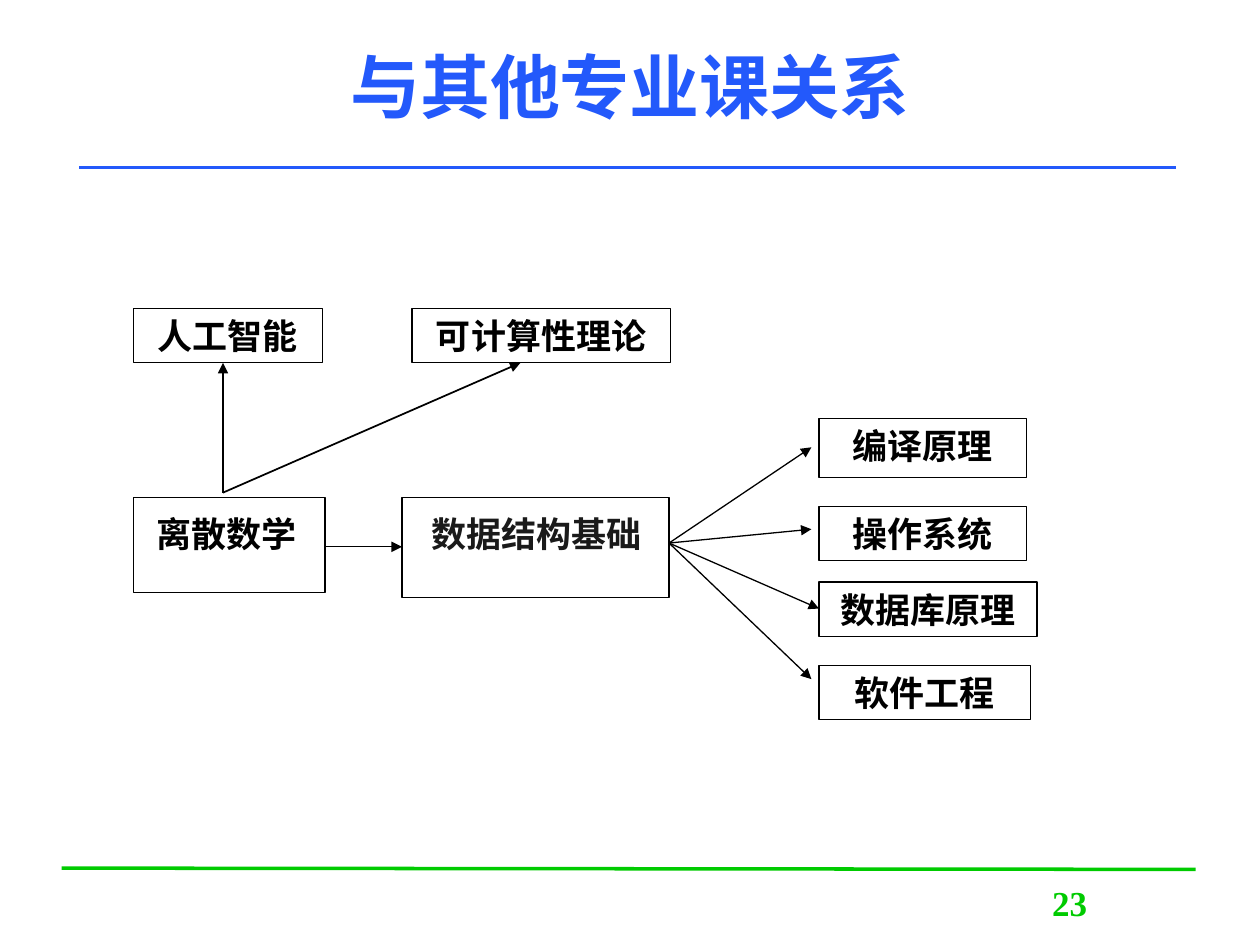
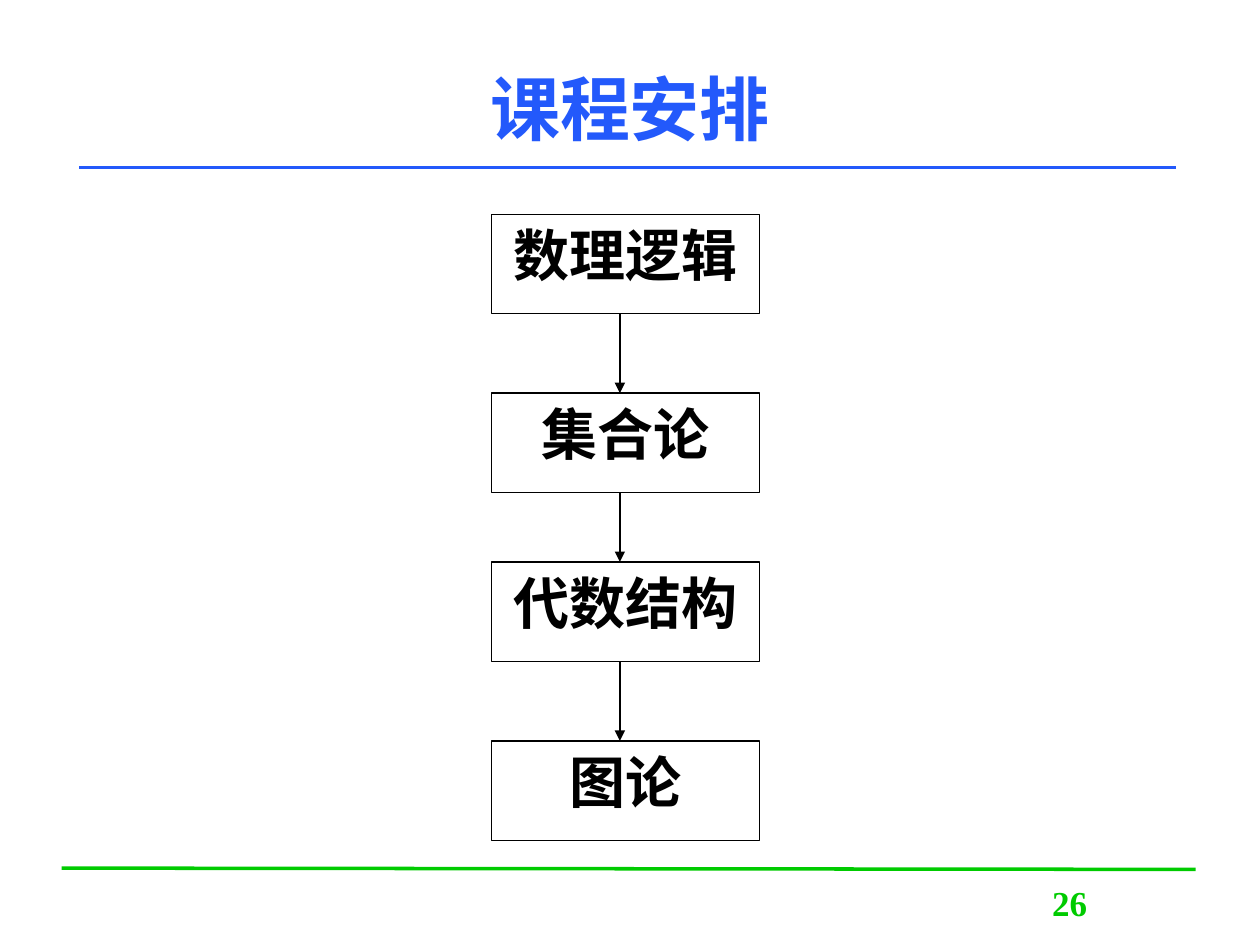
from dataclasses import dataclass
from lxml.etree import SubElement as Sub
from pptx import Presentation
from pptx.dml.color import RGBColor as RGB
from pptx.enum.shapes import MSO_CONNECTOR as Conn, MSO_SHAPE as Kind
from pptx.enum.text import MSO_ANCHOR as Anchor, PP_ALIGN as Align
from pptx.oxml.ns import qn
from pptx.util import Inches, Pt


@dataclass(frozen=True)
class Theme:
    blue: RGB = RGB(0x23, 0x59, 0xFB)
    green: RGB = RGB(0x00, 0xCB, 0x00)
    black: RGB = RGB(0, 0, 0)
    white: RGB = RGB(255, 255, 255)
    sans: str = "Arial"
    serif: str = "Times New Roman"
    head: str = "DejaVu Sans"
    big: int = 40
    mid: int = 32
    small: int = 20
    rule: float = 2
    bold: float = 1
    thin: float = 0.75
    veil: int = 10  # opacity of a see-through box, percent


T = Theme()


# Basic parts
def write(shape, text, size=T.small, font=T.serif, color=T.black,
          align=Align.CENTER, anchor=Anchor.TOP):
    frame = shape.text_frame
    frame.word_wrap = True
    frame.vertical_anchor = anchor
    para = frame.paragraphs[0]
    para.text = text
    para.alignment = align
    face = para.font
    face.size, face.name, face.bold = Pt(size), font, True
    face.color.rgb = color


def label(slide, box, text, **style):
    write(slide.shapes.add_textbox(*map(Inches, box)), text, **style)


def node(slide, box, text="", veil=False, hollow=False, **style):
    shape = slide.shapes.add_shape(Kind.RECTANGLE, *map(Inches, box))
    shape.shadow.inherit = False
    shape.line.color.rgb = T.black
    shape.line.width = Pt(T.thin)
    if hollow:
        shape.fill.background()
    else:
        shape.fill.solid()
        shape.fill.fore_color.rgb = T.white
    if veil:
        tint = shape.fill._xPr.find(".//" + qn("a:srgbClr"))
        Sub(tint, qn("a:alpha"), val=str(T.veil * 1000))
    if text:
        write(shape, text, **style)


def line(slide, start, end, color=T.black, width=T.thin, arrow=True):
    link = slide.shapes.add_connector(
        Conn.STRAIGHT, *map(Inches, (*start, *end)))
    link.line.color.rgb = color
    link.line.width = Pt(width)
    if arrow:
        Sub(link.line._get_or_add_ln(), qn("a:tailEnd"), type="triangle")
    Sub(link._element.spPr, qn("a:effectLst"))


# Rules, page number and title of every slide
def base(deck, title, number, top, height):
    slide = deck.slides.add_slide(deck.slide_layouts[6])
    line(slide, (0.49, 6.89), (9.49, 6.9), T.green, T.rule, False)
    line(slide, (0.63, 1.33), (9.33, 1.33), T.blue, T.rule, False)
    label(slide, (7.7, 6.95, 1.58, 0.5), str(number), color=T.green)
    label(slide, (0.75, top, 8.5, height), title, size=T.big, font=T.head,
          color=T.blue, anchor=Anchor.MIDDLE)
    return slide


# The two basic courses, side by side
def core(slide, x, y):
    label(slide, (x + 2.13, y + 0.07, 2.14, 0.43), "数据结构基础")
    label(slide, (x + 0.08, y + 0.07, 1.54, 0.61), "离散数学",
          align=Align.JUSTIFY)
    node(slide, (x + 2.13, y, 2.12, 0.79), veil=True)
    node(slide, (x, y, 1.52, 0.75), hollow=True)
    line(slide, (x + 1.52, y + 0.39), (x + 2.13, y + 0.39))


# Courses above, reached from one point below
def upper(slide, x, y):
    high = 0.43
    for text, left, width, tip in (("人工智能", 0, 1.5, 0.71),
                                   ("可计算性理论", 2.21, 2.05, 3.07)):
        node(slide, (x + left, y, width, high), text)
        line(slide, (x + 0.71, y + 1.46), (x + tip, y + high), width=T.bold)


# Courses on the right, reached by a fan of arrows
def fan(slide, x, y):
    for text, top, width, high, tip in (
            ("编译原理", 0, 1.65, 0.47, (1.13, 0.23)),
            ("操作系统", 0.7, 1.65, 0.43, (1.13, 0.88)),
            ("数据库原理", 1.3, 1.73, 0.43, (1.19, 1.51)),
            ("软件工程", 1.96, 1.68, 0.43, (1.13, 2.07))):
        node(slide, (x + 1.19, y + top, width, high), text)
        line(slide, (x, y + 0.99), (x + tip[0], y + tip[1]))


# Topics from top to bottom, each followed by an arrow across its gap
def chain(slide, x, y, width, high):
    steps = (("数理逻辑", 0.63), ("集合论", 0.55), ("代数结构", 0.63), ("图论", 0))
    for text, gap in steps:
        node(slide, (x, y, width, high), text, veil=True,
             size=T.mid, font=T.sans)
        y += high
        if gap:
            line(slide, (x + 1.02, y), (x + 1.02, y + gap), width=T.bold)
        y += gap


def main():
    deck = Presentation()
    deck.slide_width, deck.slide_height = Inches(10), Inches(7.5)

    links = base(deck, "与其他专业课关系", 23, 0.05, 1.25)
    core(links, 1.06, 3.95)
    fan(links, 5.31, 3.32)
    upper(links, 1.06, 2.45)

    plan = base(deck, "课程安排", 26, 0.52, 0.67)
    chain(plan, 3.9, 1.7, 2.13, 0.79)

    deck.save("out.pptx")


if __name__ == "__main__":
    main()
